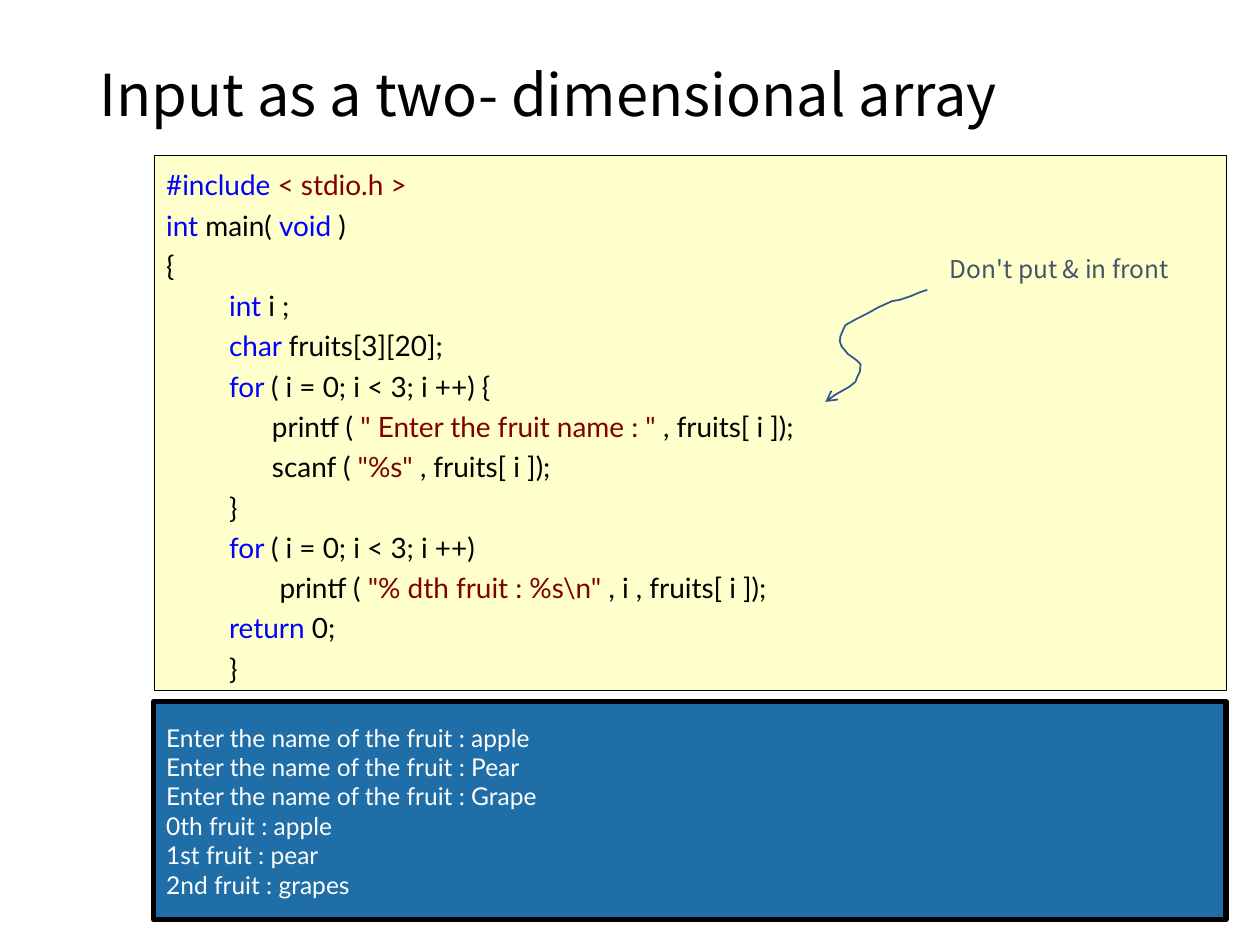
from typing import NamedTuple

from lxml.etree import SubElement
from pptx import Presentation
from pptx.dml.color import RGBColor
from pptx.enum.shapes import MSO_SHAPE as Shape
from pptx.enum.text import MSO_ANCHOR as Anchor, MSO_AUTO_SIZE as Fit, PP_ALIGN as Align
from pptx.oxml.ns import qn
from pptx.util import Inches, Pt

COLS, ROWS = 100, 75
SANS, CJK = "Lato", "Noto Sans CJK KR"
BLACK, WHITE, SLATE = "000000", "FFFFFF", "44546A"
KEY, QUOTE = "0000FF", "800000"


class Box(NamedTuple):
    """A place on the grid: column, row, columns wide, rows high."""
    col: float
    row: float
    wide: float
    high: float


class Run(NamedTuple):
    text: str
    color: str = BLACK


class Line(NamedTuple):
    runs: list[Run]
    indent: float = 0


class Style(NamedTuple):
    font: str
    size: float
    space: float = 1.0


class Panel(NamedTuple):
    box: Box
    fill: str
    edge: float
    anchor: Anchor
    style: Style
    lines: list[Line]


def key(word: str, rest: str, indent: float = 0) -> Line:
    return Line([Run(word + " ", KEY), Run(rest)], indent)


def call(name: str, quote: str, rest: str, indent: float) -> Line:
    return Line([Run(name + " ( "), Run(quote + " ", QUOTE), Run(rest)], indent)


BODY, LOOP, PRINT = 5, 8.4, 9
CODE = [
    Line([Run("#include ", KEY), Run("< stdio.h >", QUOTE)]),
    Line([Run("int ", KEY), Run("main( "), Run("void ", KEY), Run(")")]),
    Line([Run("{")]),
    key("int", "i ;", BODY),
    key("char", "fruits[3][20];", BODY),
    key("for", "( i = 0; i < 3; i ++) {", BODY),
    call("printf", '" Enter the fruit name : "', ", fruits[ i ]);", LOOP),
    call("scanf", '"%s"', ", fruits[ i ]);", LOOP),
    Line([Run("}")], BODY),
    key("for", "( i = 0; i < 3; i ++)", BODY),
    call("printf", '"% dth fruit : %s\\n"', ", i , fruits[ i ]);", PRINT),
    key("return", "0;", BODY),
    Line([Run("}")], BODY),
]
OUTPUT = [
    "Enter the name of the fruit : apple",
    "Enter the name of the fruit : Pear",
    "Enter the name of the fruit : Grape",
    "0th fruit : apple",
    "1st fruit : pear",
    "2nd fruit : grapes",
]
PANELS = [
    Panel(Box(12.2, 12.3, 85.1, 42.5), "FFFFCC", 0.25, Anchor.TOP,
          Style(SANS, 16, 1.2), CODE),
    Panel(Box(12.2, 55.7, 85.1, 17.3), "1F6EA7", 3, Anchor.MIDDLE,
          Style(SANS, 14), [Line([Run(text, WHITE)]) for text in OUTPUT]),
]
CURVE = [
    (73.6, 23), (73, 23.2), (72.3, 23.5), (71.4, 23.8), (70.8, 23.9),
    (69.7, 24.4), (68.8, 24.9), (68, 25.3), (67.1, 25.8), (66.95, 26.1),
    (66.7, 26.7), (66.65, 27.1), (66.8, 27.5), (67.3, 28.1), (68, 28.6),
    (68.3, 28.9), (68.25, 29.5), (68, 30), (67.9, 30.3), (67.4, 30.7),
    (66.7, 31.1), (65.8, 31.6), (65.5, 31.9),
]


def rgb(code: str) -> RGBColor:
    return RGBColor.from_string(code)


def place(box: Box, width: int, height: int) -> list[int]:
    """Turn grid places into slide lengths."""
    sides = (width / COLS, height / ROWS) * 2
    return [round(part * side) for part, side in zip(box, sides)]


def write(frame, lines: list[Line], style: Style, unit: float) -> None:
    for i, line in enumerate(lines):
        para = frame.add_paragraph() if i else frame.paragraphs[0]
        para.alignment = Align.LEFT
        para.line_spacing = style.space
        if line.indent:
            para._p.get_or_add_pPr().set("marL", str(round(line.indent * unit)))
        for part in line.runs:
            run = para.add_run()
            run.text = part.text
            run.font.name = style.font
            run.font.size = Pt(style.size)
            run.font.color.rgb = rgb(part.color)


def add_panel(slide, panel: Panel, width: int, height: int) -> None:
    shape = slide.shapes.add_shape(Shape.RECTANGLE, *place(panel.box, width, height))
    shape.shadow.inherit = False
    shape.fill.solid()
    shape.fill.fore_color.rgb = rgb(panel.fill)
    shape.line.color.rgb = rgb(BLACK)
    shape.line.width = Pt(panel.edge)
    frame = shape.text_frame
    frame.word_wrap = True
    frame.vertical_anchor = panel.anchor
    write(frame, panel.lines, panel.style, width / COLS)


def add_curve(slide, points: list[tuple[float, float]], width: int, height: int) -> None:
    fine = 100
    dots = [(x * fine, y * fine) for x, y in points]
    scale = (width / COLS / fine, height / ROWS / fine)
    pen = slide.shapes.build_freeform(*dots[0], scale=scale)
    pen.add_line_segments(dots[1:], close=False)
    shape = pen.convert_to_shape()
    shape.shadow.inherit = False
    shape.fill.background()
    shape.line.color.rgb = rgb("325491")
    shape.line.width = Pt(1)
    SubElement(shape.line._get_or_add_ln(), qn("a:tailEnd"), type="arrow")


def main() -> None:
    deck = Presentation()
    deck.slide_width, deck.slide_height = width, height = Inches(10), Inches(7.5)
    slide = deck.slides.add_slide(deck.slide_layouts[5])

    title = slide.shapes.title
    title.left, title.top, title.width, title.height = place(
        Box(6.9, 0.5, 86.2, 14.5), width, height)
    title.text_frame.auto_size = Fit.NONE
    title.text_frame.vertical_anchor = Anchor.MIDDLE
    write(title.text_frame, [Line([Run("Input as a two- dimensional array")])],
          Style(CJK, 33, 0.9), width / COLS)

    code, output = PANELS
    add_panel(slide, code, width, height)
    add_curve(slide, CURVE, width, height)

    label = slide.shapes.add_textbox(*place(Box(74.4, 19.7, 20.3, 3.4), width, height))
    label.text_frame.word_wrap = False
    label.text_frame.auto_size = Fit.SHAPE_TO_FIT_TEXT
    write(label.text_frame, [Line([Run("Don't put & in front", SLATE)])],
          Style(CJK, 14), width / COLS)

    add_panel(slide, output, width, height)
    deck.save("out.pptx")


if __name__ == "__main__":
    main()
